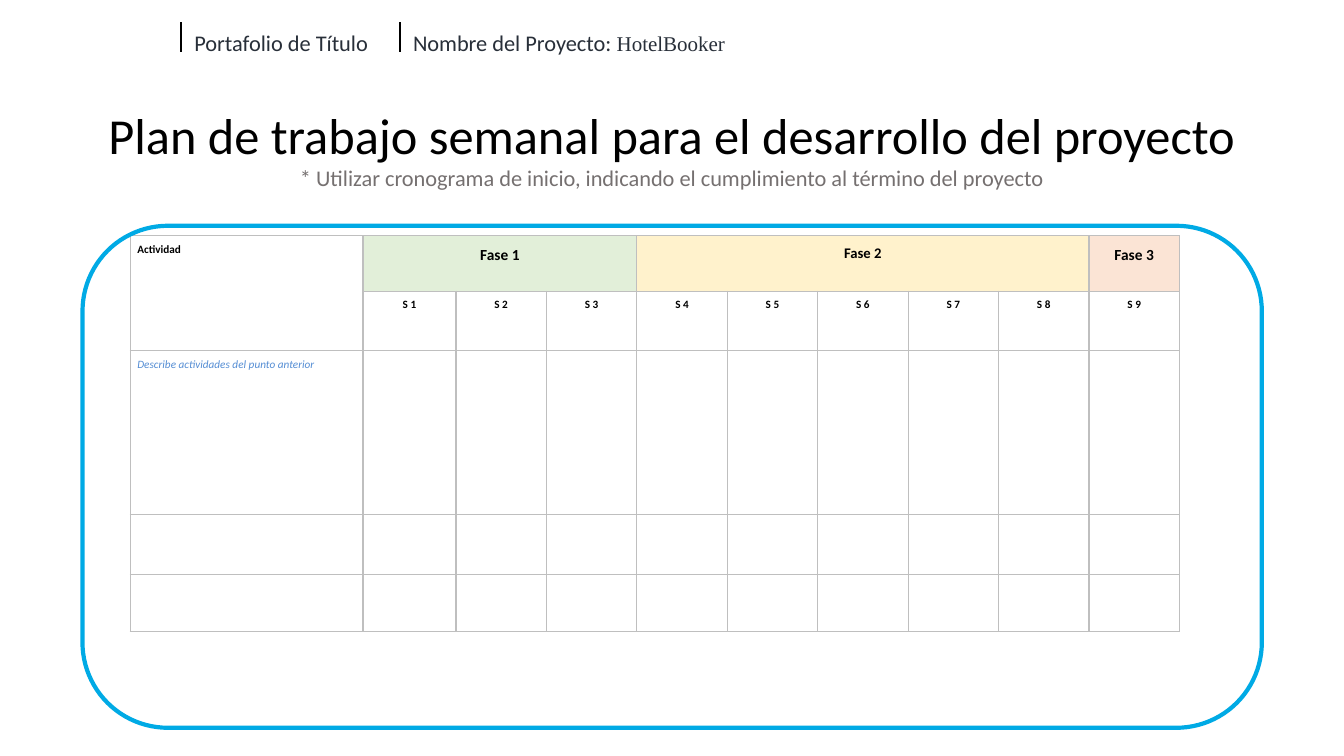
from dataclasses import dataclass

from lxml import etree
from pptx import Presentation
from pptx import util as u
from pptx.dml.color import RGBColor
from pptx.enum import shapes, text
from pptx.oxml import ns

Cm, Pt = u.Cm, u.Pt
ALIGN = text.PP_ALIGN

COLORS = {
    "ink": "000000", "header": "282F39", "hint": "757070", "example": "548DD4",
    "grid": "BFBFBF", "frame": "00AAE5",
    "phase1": "E2EFD9", "phase2": "FFF2CC", "phase3": "FBE4D5",
}


@dataclass
class Run:
    wording: str
    size: float
    color: str = "ink"
    font: str = "Calibri"
    bold: bool = False
    italic: bool = False


@dataclass
class Line:
    runs: list
    align: ALIGN = ALIGN.LEFT
    spacing: float = 1.0


@dataclass
class TextBlock:
    left: float
    top: float
    width: float
    height: float
    lines: list


@dataclass
class Phase:
    wording: str
    first_week: int
    last_week: int
    size: float
    fill: str


BLOCKS = [
    TextBlock(4.65, 0.56, 5.54, 0.96,
              [Line([Run("Portafolio de Título", 16, "header")], spacing=1.07)]),
    TextBlock(10.16, 0.56, 10.36, 0.94,
              [Line([Run("Nombre del Proyecto: ", 16, "header"),
                     Run("HotelBooker", 15, "header", "Times New Roman")], spacing=1.07)]),
    TextBlock(0, 2.49, 33.87, 2.49, [
        Line([Run("Plan de trabajo semanal para el desarrollo del proyecto", 36)], ALIGN.CENTER),
        Line([Run("* Utilizar cronograma de inicio, indicando el cumplimiento "
                  "al término del proyecto", 16, "hint")], ALIGN.CENTER),
    ]),
]
PHASES = [
    Phase("Fase 1", 1, 3, 11, "phase1"),
    Phase("Fase 2", 4, 8, 10.5, "phase2"),
    Phase("Fase 3", 9, 9, 11, "phase3"),
]
DIVIDERS = [4.57, 10.08]
WEEKS = 9
COLUMN_WIDTHS = [5.87, 2.34] + [2.28] * (WEEKS - 1)
ROW_HEIGHTS = [1.4, 1.5, 4.13, 1.5, 1.45]
CELL_FORMAT = {"margin_left": Cm(0.18), "margin_right": Cm(0.18),
               "margin_top": 0, "margin_bottom": 0}


def rgb(name: str) -> RGBColor:
    return RGBColor.from_string(COLORS[name])


def write_line(paragraph, line: Line) -> None:
    paragraph.alignment = line.align
    paragraph.line_spacing = line.spacing
    for part in line.runs:
        run = paragraph.add_run()
        run.text = part.wording
        formats = {"size": Pt(part.size), "name": part.font,
                   "bold": part.bold, "italic": part.italic}
        for attribute, value in formats.items():
            setattr(run.font, attribute, value)
        run.font.color.rgb = rgb(part.color)


def add_block(slide, block: TextBlock) -> None:
    box = slide.shapes.add_textbox(Cm(block.left), Cm(block.top), Cm(block.width), Cm(block.height))
    frame = box.text_frame
    frame.word_wrap = True
    frame.auto_size = text.MSO_AUTO_SIZE.SHAPE_TO_FIT_TEXT
    for index, line in enumerate(block.lines):
        write_line(frame.add_paragraph() if index else frame.paragraphs[0], line)


def add_divider(slide, x: float) -> None:
    divider = slide.shapes.add_connector(
        shapes.MSO_CONNECTOR.STRAIGHT, Cm(x), Cm(0.56), Cm(x), Cm(1.32))
    divider.line.color.rgb = rgb("ink")
    divider.line.width = Pt(1.5)
    etree.SubElement(divider._element.spPr, ns.qn("a:effectLst"))


def prepare_cell(cell) -> None:
    for attribute, value in CELL_FORMAT.items():
        setattr(cell, attribute, value)
    properties = cell._tc.get_or_add_tcPr()
    for side in ("lnL", "lnR", "lnT", "lnB"):
        border = etree.SubElement(properties, ns.qn(f"a:{side}"), w=str(Pt(1)))
        fill = etree.SubElement(border, ns.qn("a:solidFill"))
        etree.SubElement(fill, ns.qn("a:srgbClr"), val=COLORS["grid"])
    cell.fill.background()


def write_cell(cell, run: Run, align: ALIGN = ALIGN.CENTER) -> None:
    write_line(cell.text_frame.paragraphs[0], Line([run], align, 1.5))


def add_schedule(slide) -> None:
    schedule = slide.shapes.add_table(
        len(ROW_HEIGHTS), len(COLUMN_WIDTHS), Cm(3.28), Cm(5.94),
        Cm(sum(COLUMN_WIDTHS)), Cm(sum(ROW_HEIGHTS))).table
    schedule.first_row = schedule.horz_banding = False
    for column, width in zip(schedule.columns, COLUMN_WIDTHS):
        column.width = Cm(width)
    for row, height in zip(schedule.rows, ROW_HEIGHTS):
        row.height = Cm(height)
    for cell in schedule.iter_cells():
        prepare_cell(cell)

    # Activity column
    activity = schedule.cell(0, 0)
    activity.merge(schedule.cell(1, 0))
    write_cell(activity, Run("Actividad", 8, bold=True), ALIGN.JUSTIFY)
    write_cell(schedule.cell(2, 0), Run("Describe actividades del punto anterior", 8,
                                        "example", italic=True), ALIGN.JUSTIFY)

    # Phases and weeks
    for phase in PHASES:
        heading = schedule.cell(0, phase.first_week)
        if phase.last_week > phase.first_week:
            heading.merge(schedule.cell(0, phase.last_week))
        heading.fill.solid()
        heading.fill.fore_color.rgb = rgb(phase.fill)
        write_cell(heading, Run(phase.wording, phase.size, bold=True))
    for week in range(1, WEEKS + 1):
        write_cell(schedule.cell(1, week), Run(f"S {week}", 8, bold=True))


def add_frame(slide) -> None:
    outline = slide.shapes.add_shape(
        shapes.MSO_SHAPE.ROUNDED_RECTANGLE, Cm(2.08), Cm(5.69), Cm(29.72), Cm(12.65))
    outline.adjustments[0] = 0.17
    outline.shadow.inherit = False
    outline.fill.background()
    outline.line.color.rgb = rgb("frame")
    outline.line.width = Pt(3)


def main() -> None:
    deck = Presentation()
    deck.slide_width, deck.slide_height = Cm(33.87), Cm(19.05)
    slide = deck.slides.add_slide(deck.slide_layouts[6])

    # Header and title
    for x in DIVIDERS:
        add_divider(slide, x)
    for block in BLOCKS:
        add_block(slide, block)

    # Weekly plan inside its frame
    add_schedule(slide)
    add_frame(slide)
    deck.save("out.pptx")


if __name__ == "__main__":
    main()
